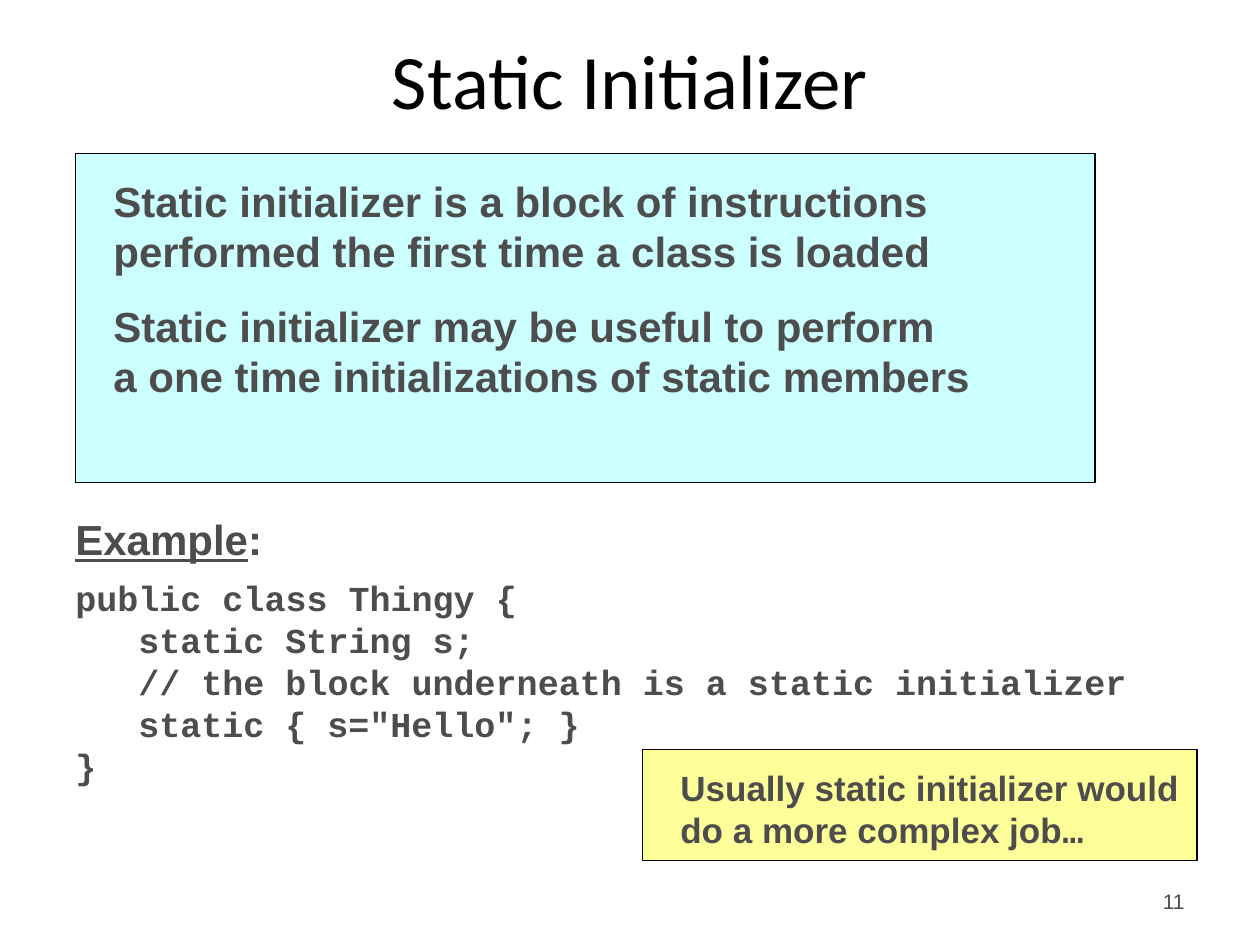
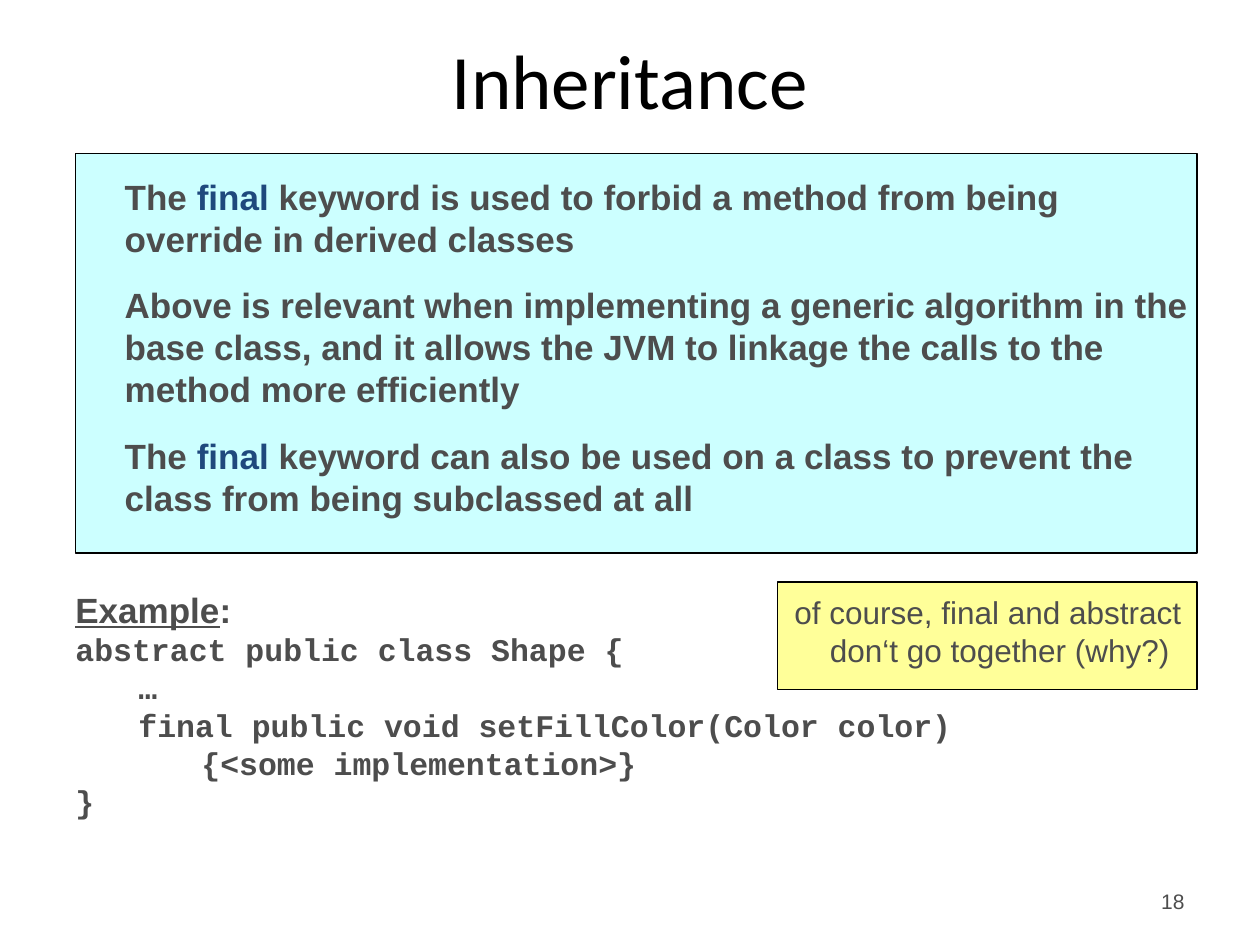
from lxml.etree import SubElement
from pptx import Presentation
from pptx.dml.color import RGBColor
from pptx.enum.shapes import MSO_SHAPE as Shape
from pptx.enum.text import MSO_ANCHOR as Anchor, PP_ALIGN as Align
from pptx.oxml.ns import qn
from pptx.util import Inches, Pt

# Shared look
GREY, NAVY, BLACK = "4D4D4D", "1F497D", "000000"
AQUA, YELLOW = "CCFFFF", "FFFF99"
LINE_PITCH = 1.2                  # line height as a multiple of the text size
LEFT, RIGHT = 0.6, 9.5            # content edges
TAB_STOPS = (0.59, 1, 2)
MONO = {"name": "Courier New"}
KEYWORD = ("final", {"color": NAVY})

# Content: a paragraph is a list of (text, format) spans
SLIDES = [
    {
        "title": "Static Initializer", "number": "11",
        "rule": {
            "top": 1.22, "right": 8.69, "height": 2.61, "size": 24, "indent": 0.3,
            "paras": [
                [("Static initializer is a block of instructions performed "
                  "the first time a class is loaded", {})],
                [("Static initializer may be useful to perform\v"
                  "a one time initializations of static members", {})],
            ],
        },
        "example": {
            "top": 4.03, "height": 2.73, "heading_size": 24, "size": 20, "gap": 7,
            "code": ["public class Thingy {",
                     "\tstatic String s;",
                     "\t// the block underneath is a static initializer",
                     "\tstatic {\ts=\"Hello\"; }",
                     "}"],
        },
        "remark": {
            "left": 5.1, "top": 5.95, "height": 0.88, "size": 20, "bold": True,
            "inset": 0.14, "indent": 0.3, "hang": 0, "align": Align.LEFT,
            "para": [("Usually static initializer would do a more complex job", {}),
                     ("…", MONO)],
        },
    },
    {
        "title": "Inheritance", "number": "18",
        "rule": {
            "top": 1.22, "right": RIGHT, "height": 3.17, "size": 20, "indent": 0.39,
            "paras": [
                [("The ", {}), KEYWORD,
                 (" keyword is used to forbid a method from being override "
                  "in derived classes", {})],
                [("Above is relevant when implementing a generic algorithm in the "
                  "base class, and it allows the JVM to linkage the calls to the "
                  "method more efficiently", {})],
                [("The ", {}), KEYWORD,
                 (" keyword can also be used on a class to prevent the class "
                  "from being subclassed at all", {})],
            ],
        },
        "example": {
            "top": 4.62, "height": 2.05, "heading_size": 20, "size": 18, "gap": 0,
            "code": ["abstract public class Shape {",
                     "\t…",
                     "\tfinal public void setFillColor(Color color)\v"
                     "\t\t{<some implementation>}",
                     "}"],
        },
        "remark": {
            "left": 6.17, "top": 4.62, "height": 0.85, "size": 18, "bold": False,
            "inset": 0, "indent": 0.2, "hang": -0.19, "align": Align.CENTER,
            "para": [("of course, final and abstract don‘t go together (why?)", {})],
        },
    },
]


def rgb(value):
    return RGBColor.from_string(value)


def write(frame, spans, size, bold=True, before=0, indent=0, hang=0,
          align=Align.LEFT, tabs=()):
    """Add one paragraph, using the empty first one when it is free."""
    para = frame.paragraphs[0]
    if para.runs:
        para = frame.add_paragraph()
    layout = {"alignment": align, "space_before": Pt(before),
              "line_spacing": Pt(size * LINE_PITCH)}
    for key, value in layout.items():
        setattr(para, key, value)
    for text, changes in spans:
        values = {"name": "Arial", "size": Pt(size), "bold": bold,
                  "color": GREY, **changes}
        for index, piece in enumerate(text.split("\v")):
            if index:
                para.add_line_break()
            span = para.add_run()
            span.text = piece
            for key, value in values.items():
                if key == "color":
                    span.font.color.rgb = rgb(value)
                else:
                    setattr(span.font, key, value)
    # Indents and tab stops
    props = para._p.get_or_add_pPr()
    props.set("marL", str(Inches(indent)))
    props.set("indent", str(Inches(hang)))
    if tabs:
        stops = SubElement(props, qn("a:tabLst"))
        for stop in tabs:
            SubElement(stops, qn("a:tab"), pos=str(Inches(stop)), algn="l")


def add_frame(page, left, top, width, height, fill=None, anchor=Anchor.TOP, insets=None):
    """Add a text box, or an outlined panel if a fill is given."""
    place = [Inches(length) for length in (left, top, width, height)]
    if fill:
        box = page.shapes.add_shape(Shape.RECTANGLE, *place)
        box.shadow.inherit = False
        box.fill.solid()
        box.fill.fore_color.rgb = rgb(fill)
        box.line.color.rgb = rgb(BLACK)
        box.line.width = Pt(0.75)
    else:
        box = page.shapes.add_textbox(*place)
    frame = box.text_frame
    frame.word_wrap = True
    frame.vertical_anchor = anchor
    for side, inset in (insets or {}).items():
        setattr(frame, f"margin_{side}", Inches(inset))
    return frame


def add_rule(page, rule):
    frame = add_frame(page, LEFT, rule["top"], rule["right"] - LEFT, rule["height"], AQUA,
                      insets={"left": 0, "top": 0.17, "right": 0, "bottom": 0})
    for index, spans in enumerate(rule["paras"]):
        write(frame, spans, rule["size"], before=14 if index else 0, indent=rule["indent"])


def add_example(page, example):
    frame = add_frame(page, LEFT - 0.1, example["top"], 9, example["height"])
    write(frame, [("Example", {"underline": True}), (":", {})], example["heading_size"])
    for index, line in enumerate(example["code"]):
        write(frame, [(line, MONO)], example["size"],
              before=0 if index else example["gap"], tabs=TAB_STOPS)


def add_remark(page, remark):
    frame = add_frame(page, remark["left"], remark["top"], RIGHT - remark["left"],
                      remark["height"], YELLOW, Anchor.MIDDLE,
                      {"left": 0, "top": remark["inset"], "right": 0, "bottom": 0.08})
    options = {key: remark[key] for key in ("size", "bold", "indent", "hang", "align")}
    write(frame, remark["para"], **options)


def add_number(page, number):
    frame = add_frame(page, 7.17, 6.95, RIGHT - 7.17, 0.4, anchor=Anchor.MIDDLE)
    write(frame, [(number, {})], 12, bold=False, align=Align.RIGHT)


deck = Presentation()
deck.slide_width, deck.slide_height = Inches(10), Inches(7.5)

# Title band, set once on the layout
title_only = deck.slide_layouts[5]
band = title_only.placeholders[0]
for side, length in {"left": 0, "top": 0.16, "width": 10, "height": 0.93}.items():
    setattr(band, side, Inches(length))

for content in SLIDES:
    page = deck.slides.add_slide(title_only)
    page.shapes.title.text = content["title"]
    add_number(page, content["number"])
    add_rule(page, content["rule"])
    add_example(page, content["example"])
    add_remark(page, content["remark"])

deck.save("out.pptx")
